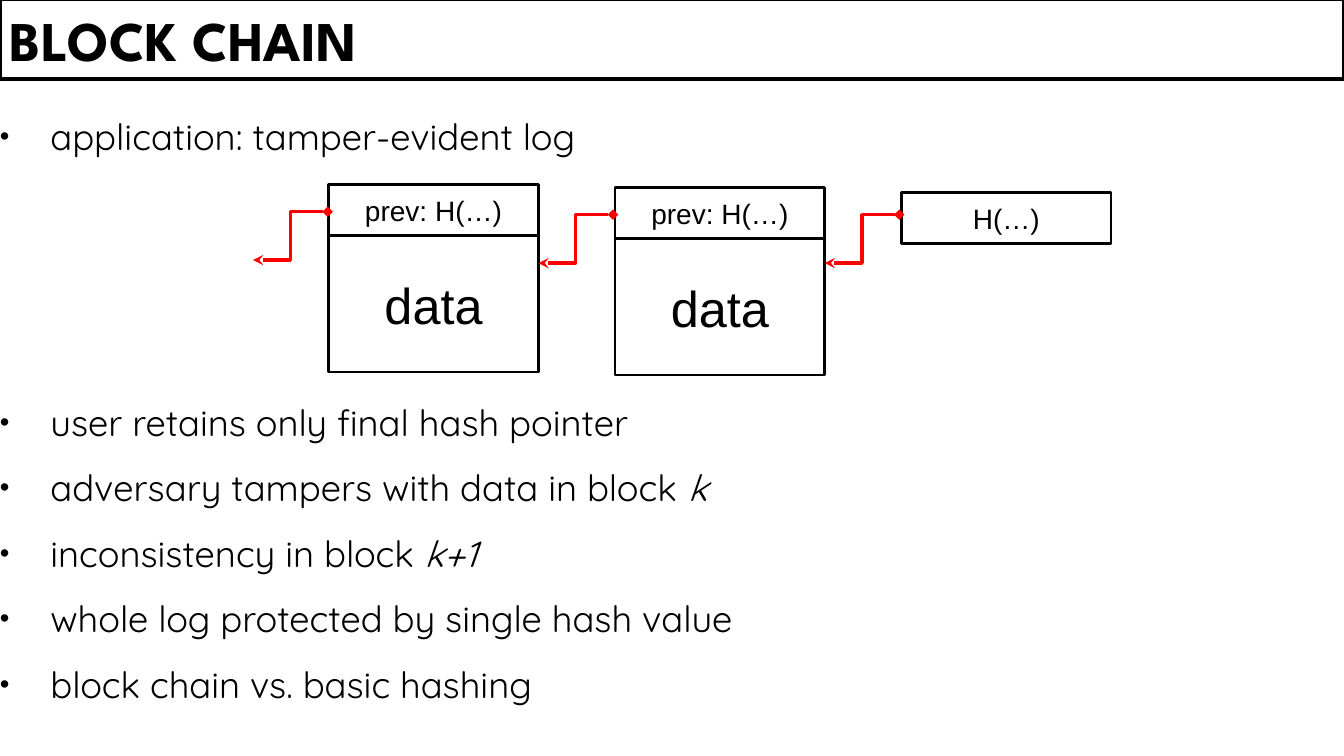
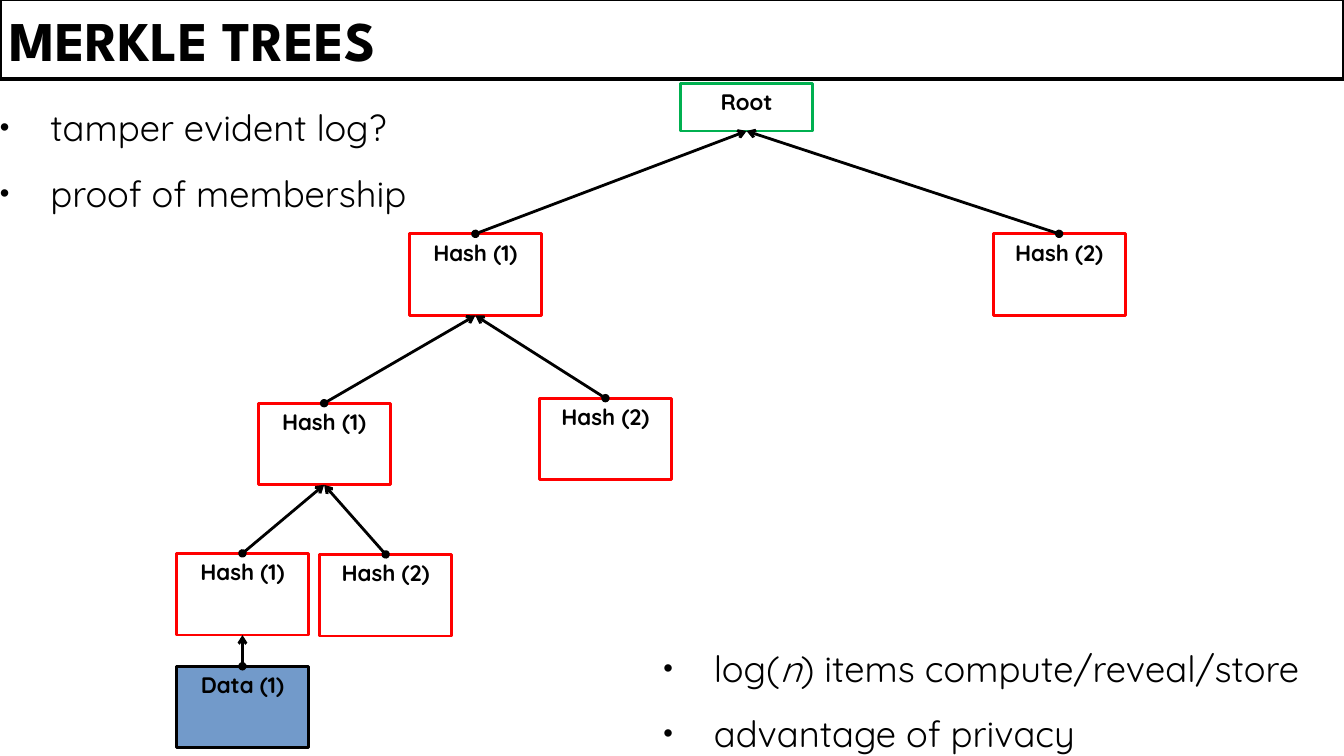
from dataclasses import dataclass
from typing import Optional

from lxml.etree import SubElement
from pptx import Presentation
from pptx.dml.color import RGBColor
from pptx.enum.shapes import MSO_CONNECTOR, MSO_SHAPE
from pptx.enum.text import MSO_ANCHOR, PP_ALIGN
from pptx.oxml.ns import qn
from pptx.shapes.autoshape import Shape
from pptx.shapes.connector import Connector
from pptx.slide import Slide
from pptx.text.text import TextFrame
from pptx.util import Inches, Pt

BLACK = RGBColor(0x00, 0x00, 0x00)
RED = RGBColor(0xFF, 0x00, 0x00)
GREEN = RGBColor(0x00, 0xB0, 0x50)
BLUE = RGBColor(0x4F, 0x81, 0xBD)

TITLE_FONT = "League Spartan"
BODY_FONT = "Quicksand"
DIAGRAM_FONT = "Arial"

SLIDE_WIDTH = 13.33
SLIDE_HEIGHT = 7.5
BULLET_INDENT = 0.5

BLOCK_WIDTH = 2.08
HASH_HEIGHT = 0.51
DATA_HEIGHT = 1.35
POINTER_WIDTH = 0.74
POINTER_DROP = 0.48

NODE_WIDTH = 1.31
NODE_HEIGHT = 0.81


@dataclass(frozen=True)
class Run:
    text: str
    italic: bool = False


@dataclass(frozen=True)
class Block:
    """A hash cell, with a data cell below it when has_data is set."""
    left: float
    top: float
    label: str
    pointer_left: float
    pointer_top: float
    has_data: bool = True


@dataclass(frozen=True)
class Node:
    """A box of the tree; parent is the key of the node it points to."""
    label: str
    left: float
    top: float
    parent: Optional[str] = None
    height: float = NODE_HEIGHT
    line: RGBColor = RED
    fill: Optional[RGBColor] = None


LOG_BULLETS = [[Run("application: tamper-evident log")]]
TAMPER_BULLETS = [
    [Run("user retains only final hash pointer")],
    [Run("adversary tampers with data in block "), Run("k", italic=True)],
    [Run("inconsistency in block "), Run("k+1", italic=True)],
    [Run("whole log protected by single hash value")],
    [Run("block chain vs. basic hashing")],
]
PROOF_BULLETS = [[Run("tamper evident log?")], [Run("proof of membership")]]
COST_BULLETS = [
    [Run("log("), Run("n", italic=True), Run(") items compute/reveal/store")],
    [Run("advantage of privacy")],
]

CHAIN = [
    Block(3.26, 1.83, "prev: H(…)", 3.25, 2.1),
    Block(6.1, 1.86, "prev: H(…)", 6.08, 2.13),
    Block(8.94, 1.91, "H(…)", 8.92, 2.13, has_data=False),
]

# Parents come before their children.
TREE = {
    "root": Node("Root", 6.75, 0.83, height=0.47, line=GREEN),
    "upper left": Node("Hash (1)", 4.06, 2.32, "root"),
    "upper right": Node("Hash (2)", 9.85, 2.32, "root"),
    "middle left": Node("Hash (1)", 2.56, 4, "upper left"),
    "middle right": Node("Hash (2)", 5.35, 3.95, "upper left"),
    "lower left": Node("Hash (1)", 1.75, 5.49, "middle left"),
    "lower right": Node("Hash (2)", 3.17, 5.5, "middle left"),
    "data": Node("Data (1)", 1.75, 6.61, "lower left", line=BLACK, fill=BLUE),
}


def add_box(slide: Slide, left: float, top: float, width: float, height: float,
            line: RGBColor = BLACK, line_width: float = 2) -> Shape:
    """Add an unfilled, outlined rectangle."""
    shape = slide.shapes.add_shape(
        MSO_SHAPE.RECTANGLE, Inches(left), Inches(top), Inches(width), Inches(height))
    shape.shadow.inherit = False
    shape.fill.background()
    shape.line.color.rgb = line
    shape.line.width = Pt(line_width)
    return shape


def add_label(frame: TextFrame, text: str, font: str, size: float, bold: bool = False,
              align: PP_ALIGN = PP_ALIGN.CENTER,
              anchor: MSO_ANCHOR = MSO_ANCHOR.MIDDLE) -> None:
    frame.word_wrap = True
    frame.vertical_anchor = anchor
    paragraph = frame.paragraphs[0]
    paragraph.alignment = align
    add_run(paragraph, text, font, size, bold=bold)


def add_run(paragraph, text: str, font: str, size: float,
            bold: bool = False, italic: bool = False) -> None:
    run = paragraph.add_run()
    run.text = text
    run.font.name = font
    run.font.size = Pt(size)
    run.font.bold = bold
    run.font.italic = italic
    run.font.color.rgb = BLACK


def add_bullets(slide: Slide, left: float, top: float, width: float, height: float,
                bullets: list[list[Run]]) -> None:
    box = slide.shapes.add_textbox(Inches(left), Inches(top), Inches(width), Inches(height))
    frame = box.text_frame
    frame.word_wrap = True
    frame.margin_left = frame.margin_right = Inches(0)
    frame.margin_top = frame.margin_bottom = Inches(0)
    for index, runs in enumerate(bullets):
        paragraph = frame.add_paragraph() if index else frame.paragraphs[0]
        paragraph.line_spacing = 1.5
        properties = paragraph._p.get_or_add_pPr()
        properties.set("marL", str(Inches(BULLET_INDENT)))
        properties.set("indent", str(-Inches(BULLET_INDENT)))
        SubElement(properties, qn("a:buSzPct"), val="75000")
        SubElement(properties, qn("a:buFont"), typeface=DIAGRAM_FONT)
        SubElement(properties, qn("a:buChar"), char="•")
        for run in runs:
            add_run(paragraph, run.text, BODY_FONT, 26, italic=run.italic)


def style_arrow(connector: Connector, color: RGBColor, width: float,
                start: str, end: str) -> None:
    connector.line.color.rgb = color
    connector.line.width = Pt(width)
    line = connector.line._get_or_add_ln()
    SubElement(line, qn("a:headEnd"), type=start)
    SubElement(line, qn("a:tailEnd"), type=end)
    SubElement(connector._element.spPr, qn("a:effectLst"))


def add_titled_slide(presentation: Presentation, title: str) -> Slide:
    slide = presentation.slides.add_slide(presentation.slide_layouts[6])
    band = add_box(slide, 0, -0.01, SLIDE_WIDTH, 0.79, line_width=3)
    add_label(band.text_frame, title, TITLE_FONT, 40, bold=True, align=PP_ALIGN.LEFT)
    return slide


def add_block(slide: Slide, block: Block) -> None:
    """Draw one link of the chain and its pointer to the previous one."""
    if block.has_data:
        data = add_box(slide, block.left, block.top + HASH_HEIGHT, BLOCK_WIDTH, DATA_HEIGHT)
        add_label(data.text_frame, "data", DIAGRAM_FONT, 36)
    cell = add_box(slide, block.left, block.top, BLOCK_WIDTH, HASH_HEIGHT)
    add_label(cell.text_frame, block.label, DIAGRAM_FONT, 20)
    pointer = slide.shapes.add_connector(
        MSO_CONNECTOR.ELBOW,
        Inches(block.pointer_left), Inches(block.pointer_top),
        Inches(block.pointer_left - POINTER_WIDTH), Inches(block.pointer_top + POINTER_DROP))
    style_arrow(pointer, RED, 2.5, "diamond", "stealth")


def add_node(slide: Slide, node: Node) -> Shape:
    shape = add_box(slide, node.left, node.top, NODE_WIDTH, node.height, node.line)
    if node.fill is not None:
        shape.fill.solid()
        shape.fill.fore_color.rgb = node.fill
        color = shape._element.spPr.find(qn("a:solidFill")).find(qn("a:srgbClr"))
        SubElement(color, qn("a:alpha"), val="80000")
    add_label(shape.text_frame, node.label, BODY_FONT, 16, bold=True, anchor=MSO_ANCHOR.TOP)
    return shape


def add_tree(slide: Slide, tree: dict[str, Node]) -> None:
    """Draw every node, then an arrow from each child's top to its parent's bottom."""
    shapes = {key: add_node(slide, node) for key, node in tree.items()}
    for key, node in tree.items():
        if node.parent is None:
            continue
        arrow = slide.shapes.add_connector(
            MSO_CONNECTOR.STRAIGHT, Inches(0), Inches(0), Inches(0), Inches(0))
        arrow.begin_connect(shapes[key], 0)
        arrow.end_connect(shapes[node.parent], 2)
        style_arrow(arrow, BLACK, 2, "oval", "arrow")


def build_block_chain(presentation: Presentation) -> None:
    slide = add_titled_slide(presentation, "BLOCK CHAIN")
    add_bullets(slide, 0, 0.92, SLIDE_WIDTH, 0.66, LOG_BULLETS)
    for block in CHAIN:
        add_block(slide, block)
    add_bullets(slide, 0, 3.75, SLIDE_WIDTH, 3.28, TAMPER_BULLETS)


def build_merkle_trees(presentation: Presentation) -> None:
    slide = add_titled_slide(presentation, "MERKLE TREES")
    add_bullets(slide, 0, 0.83, SLIDE_WIDTH, 1.31, PROOF_BULLETS)
    add_tree(slide, TREE)
    add_bullets(slide, 6.58, 6.19, 6.68, 1.31, COST_BULLETS)


def main() -> None:
    presentation = Presentation()
    presentation.slide_width = Inches(SLIDE_WIDTH)
    presentation.slide_height = Inches(SLIDE_HEIGHT)
    build_block_chain(presentation)
    build_merkle_trees(presentation)
    presentation.save("out.pptx")


if __name__ == "__main__":
    main()
